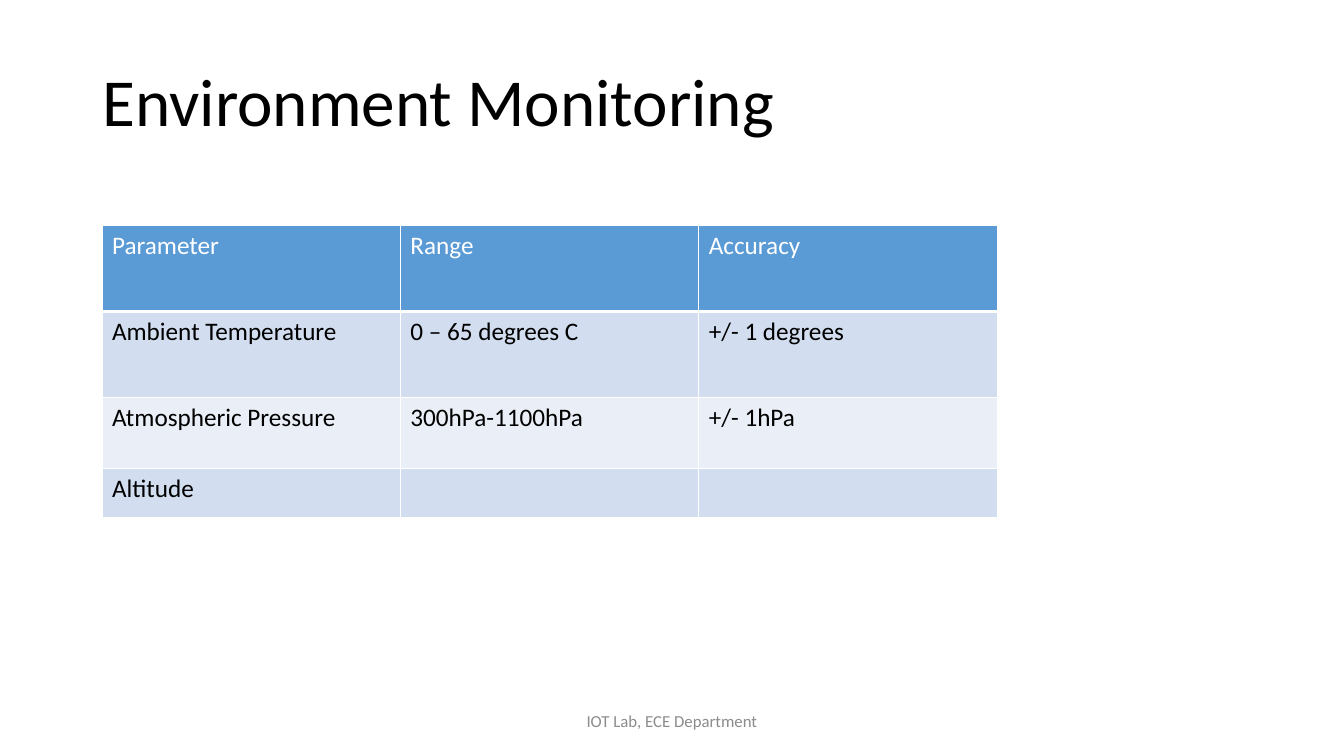
"""Build the environment monitoring slide with its table of sensor parameters."""
from dataclasses import dataclass

from lxml.etree import SubElement
from pptx import Presentation
from pptx.dml.color import RGBColor as Color
from pptx.enum.text import MSO_ANCHOR as Anchor, PP_ALIGN as Align
from pptx.oxml.ns import qn
from pptx.util import Cm, Pt


@dataclass(frozen=True)
class Theme:
    font: str = "Calibri"
    ink: str = "000000"
    paper: str = "FFFFFF"
    muted: str = "8C8C8C"
    header: str = "5B9BD5"
    bands: tuple = ("D2DEEF", "EAEFF7")
    title_size: int = 48
    table_size: int = 18
    footer_size: int = 12
    thin: int = 1
    thick: int = 3


class SlideBuilder:
    def __init__(self, page, theme):
        self.page = page
        self.theme = theme

    def set_text(self, frame, text, size, color, align=Align.LEFT):
        frame.text = text
        para = frame.paragraphs[0]
        para.alignment = align
        for span in para.runs:
            span.font.name = self.theme.font
            span.font.size = Pt(size)
            span.font.bold = False
            span.font.color.rgb = Color.from_string(color)
        return para

    def title(self, text, left, top, width, height):
        box = self.page.shapes.title
        box.left, box.top, box.width, box.height = map(Cm, (left, top, width, height))
        box.text_frame.vertical_anchor = Anchor.MIDDLE
        para = self.set_text(box.text_frame, text, self.theme.title_size, self.theme.ink)
        para.line_spacing = 0.9

    def footer(self, text, left, top, width, height):
        box = self.page.shapes.add_textbox(*map(Cm, (left, top, width, height)))
        box.text_frame.word_wrap = True
        box.text_frame.vertical_anchor = Anchor.MIDDLE
        self.set_text(box.text_frame, text, self.theme.footer_size,
                      self.theme.muted, Align.CENTER)

    def border(self, cell, top, bottom):
        properties = cell._tc.get_or_add_tcPr()
        widths = {"lnL": self.theme.thin, "lnR": self.theme.thin,
                  "lnT": top, "lnB": bottom}
        for side, width in widths.items():
            line = SubElement(properties, qn(f"a:{side}"), w=str(Pt(width)))
            fill = SubElement(line, qn("a:solidFill"))
            SubElement(fill, qn("a:srgbClr"), val=self.theme.paper)

    def table(self, rows, left, top, column_width, row_heights):
        theme = self.theme
        frame = self.page.shapes.add_table(
            len(rows), len(rows[0]), Cm(left), Cm(top),
            Cm(column_width * len(rows[0])), Cm(sum(row_heights)))
        grid = frame.table
        for column in grid.columns:
            column.width = Cm(column_width)
        for index, (texts, height) in enumerate(zip(rows, row_heights)):
            grid.rows[index].height = Cm(height)
            is_header = index == 0
            fill = theme.header if is_header else theme.bands[(index - 1) % 2]
            color = theme.paper if is_header else theme.ink
            for cell, text in zip(grid.rows[index].cells, texts):
                self.border(cell, theme.thick if index == 1 else theme.thin,
                            theme.thick if is_header else theme.thin)
                cell.fill.solid()
                cell.fill.fore_color.rgb = Color.from_string(fill)
                if text:
                    self.set_text(cell.text_frame, text, theme.table_size, color)


PARAMETERS = [
    ("Parameter", "Range", "Accuracy"),
    ("Ambient Temperature", "0 – 65 degrees C", "+/- 1 degrees"),
    ("Atmospheric Pressure", "300hPa-1100hPa", "+/- 1hPa"),
    ("Altitude", "", ""),
]

deck = Presentation()
deck.slide_width, deck.slide_height = Cm(33.87), Cm(19.05)
slide = SlideBuilder(deck.slides.add_slide(deck.slide_layouts[5]), Theme())
slide.title("Environment Monitoring", 2.33, 0.8, 29.21, 3.68)
slide.footer("IOT Lab, ECE Department", 11.22, 17.66, 11.43, 1.01)
slide.table(PARAMETERS, 2.57, 5.69, 7.52, (2.16, 2.16, 1.79, 1.25))
deck.save("out.pptx")
